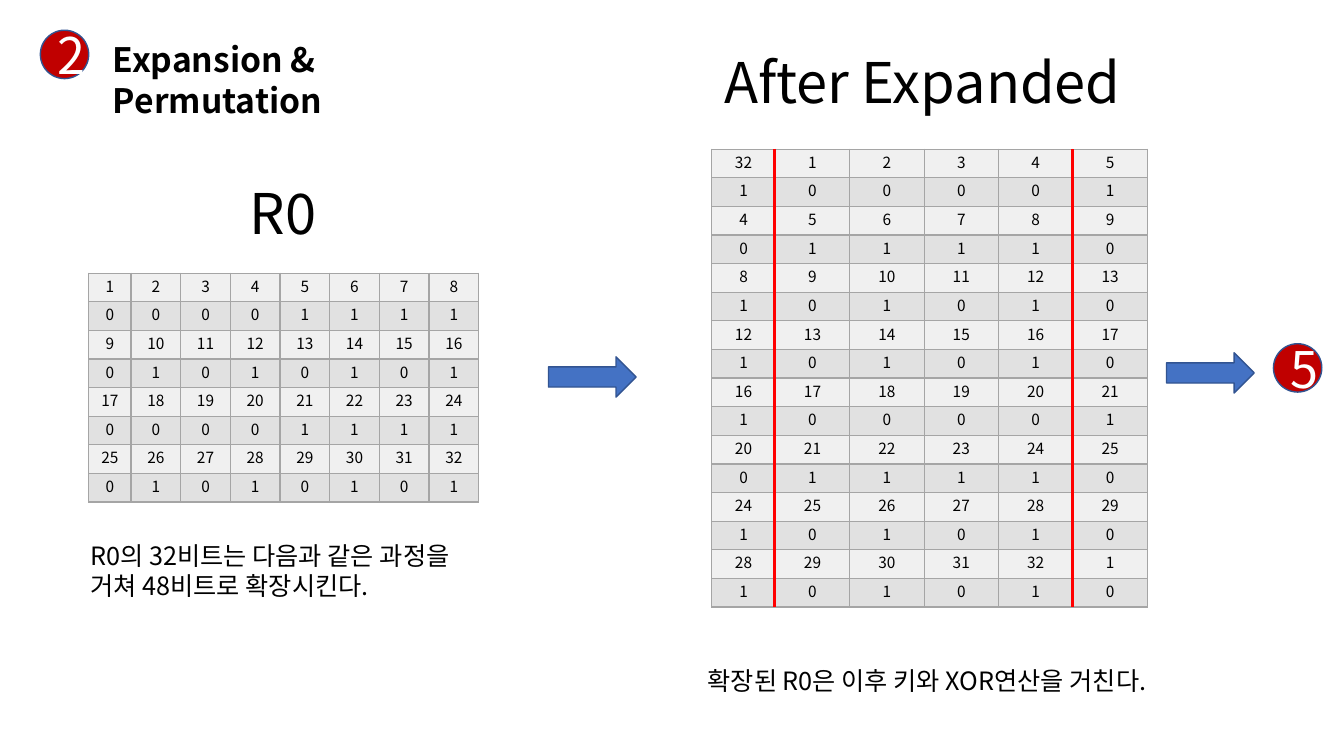
from lxml.etree import SubElement
from pptx import Presentation
from pptx.dml.color import RGBColor
from pptx.enum.shapes import MSO_CONNECTOR, MSO_SHAPE
from pptx.enum.text import MSO_ANCHOR, PP_ALIGN
from pptx.oxml.ns import qn
from pptx.util import Inches, Pt

FONT = "Noto Sans CJK KR"
BLACK, WHITE, RED, GRAY = "000000", "FFFFFF", "FF0000", "A5A5A5"
DARK_RED, BLUE, NAVY = "C00000", "4472C4", "325491"
BANDS = ("F0F0F0", "E1E1E1")

TITLE = ("Expansion & Permutation", 1.02, 0.34, 4.33, 0.5)
TEXTS = [
    ("R0", 40, 2.38, 1.72, 0.87, 0.77),
    ("After Expanded", 40, 7.09, 0.42, 4.18, 0.77),
    ("R0의 32비트는 다음과 같은 과정을 거쳐 48비트로 확장시킨다.", 18, 0.8, 5.31, 4.2, 0.71),
    ("확장된 R0은 이후 키와 XOR연산을 거친다.", 18, 6.92, 6.55, 5.18, 0.4),
]
BADGES = [("2", 0.4, 0.3), ("5", 12.63, 3.41)]
ARROWS = [(5.44, 3.54), (11.57, 3.5)]
R0_BITS = "00001111010101010000111101010101"
R0_TABLE = (0.88, 2.71, 3.87, 2.27, 0.42)
EXPANDED_TABLE = (7.06, 1.48, 4.32, 4.53, 0.63)
DIVIDERS = (7.68, 10.64)


def rgb(color):
    return RGBColor.from_string(color)


def style(p, size, color=BLACK, align=None, bold=False):
    p.font.name, p.font.size, p.font.bold = FONT, Pt(size), bold
    p.font.color.rgb = rgb(color)
    p.line_spacing = Pt(size * 1.2)
    p.alignment = align


def add_figure(s, kind, fill, *box):
    sp = s.shapes.add_shape(kind, *map(Inches, box))
    sp.shadow.inherit = False
    sp.fill.solid()
    sp.fill.fore_color.rgb = rgb(fill)
    sp.line.color.rgb = rgb(NAVY)
    sp.line.width = Pt(1)
    return sp


def set_borders(cell):
    tc_pr = cell._tc.get_or_add_tcPr()
    for side in ("lnL", "lnR", "lnT", "lnB"):
        ln = SubElement(tc_pr, qn(f"a:{side}"), w=str(Pt(1)))
        SubElement(SubElement(ln, qn("a:solidFill")), qn("a:srgbClr"), val=GRAY)


def add_bit_table(s, positions, box):
    left, top, width, height, first_width = box
    rows = []
    for line in positions:
        rows += [line, [R0_BITS[n - 1] for n in line]]
    n_cols = len(rows[0])
    table = s.shapes.add_table(len(rows), n_cols, *map(Inches, box[:4])).table
    table.first_row = table.horz_banding = False
    for i, col in enumerate(table.columns):
        col.width = Inches((width - first_width) / (n_cols - 1) if i else first_width)
    for i, values in enumerate(rows):
        table.rows[i].height = Inches(height / len(rows))
        for j, value in enumerate(values):
            cell = table.cell(i, j)
            cell.text = str(value)
            style(cell.text_frame.paragraphs[0], 11, align=PP_ALIGN.CENTER)
            set_borders(cell)
            cell.fill.solid()
            cell.fill.fore_color.rgb = rgb(BANDS[i % 2])


def main():
    prs = Presentation()
    prs.slide_width, prs.slide_height = Inches(13.33), Inches(7.5)
    s = prs.slides.add_slide(prs.slide_layouts[5])

    title = s.shapes.title
    text, *box = TITLE
    title.left, title.top, title.width, title.height = map(Inches, box)
    tf = title.text_frame
    tf.text = text
    tf.word_wrap = True
    tf.margin_right = Inches(1)
    tf.vertical_anchor = MSO_ANCHOR.TOP
    style(tf.paragraphs[0], 24, align=PP_ALIGN.LEFT, bold=True)

    for text, size, *box in TEXTS:
        tf = s.shapes.add_textbox(*map(Inches, box)).text_frame
        tf.word_wrap = True
        tf.text = text
        style(tf.paragraphs[0], size)

    for text, left, top in BADGES:
        sp = add_figure(s, MSO_SHAPE.FLOWCHART_CONNECTOR, DARK_RED, left, top, 0.48, 0.48)
        tf = sp.text_frame
        tf.text = text
        tf.vertical_anchor = MSO_ANCHOR.MIDDLE
        style(tf.paragraphs[0], 36, WHITE, PP_ALIGN.CENTER)

    for left, top in ARROWS:
        add_figure(s, MSO_SHAPE.RIGHT_ARROW, BLUE, left, top, 0.87, 0.4)

    count = len(R0_BITS)
    r0 = [range(n, n + 8) for n in range(1, count, 8)]
    expanded = [[(n + k - 1) % count + 1 for k in range(6)] for n in range(0, count, 4)]
    add_bit_table(s, r0, R0_TABLE)
    add_bit_table(s, expanded, EXPANDED_TABLE)

    for x in DIVIDERS:
        ends = map(Inches, (x, 1.48, x, 6.02))
        line = s.shapes.add_connector(MSO_CONNECTOR.STRAIGHT, *ends)
        line.line.color.rgb = rgb(RED)
        line.line.width = Pt(2)
        SubElement(line._element.spPr, qn("a:effectLst"))

    prs.save("out.pptx")


if __name__ == "__main__":
    main()
